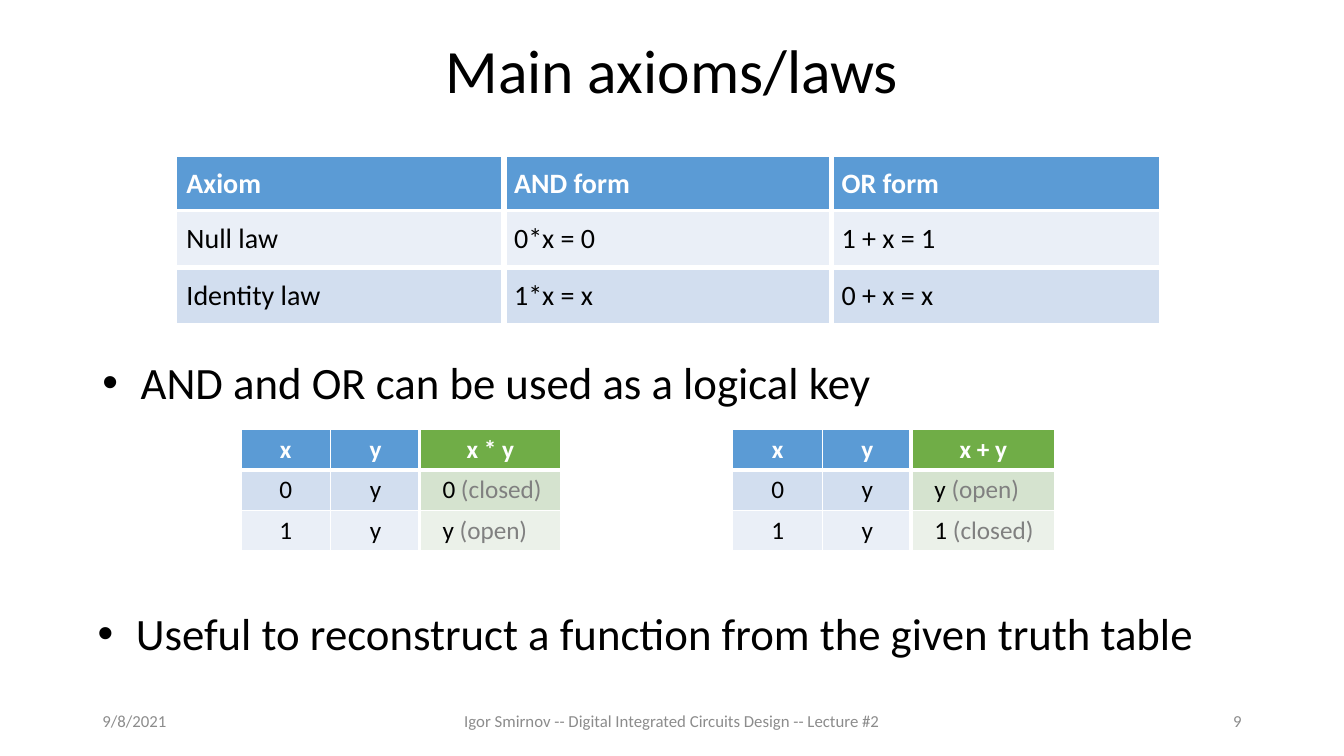
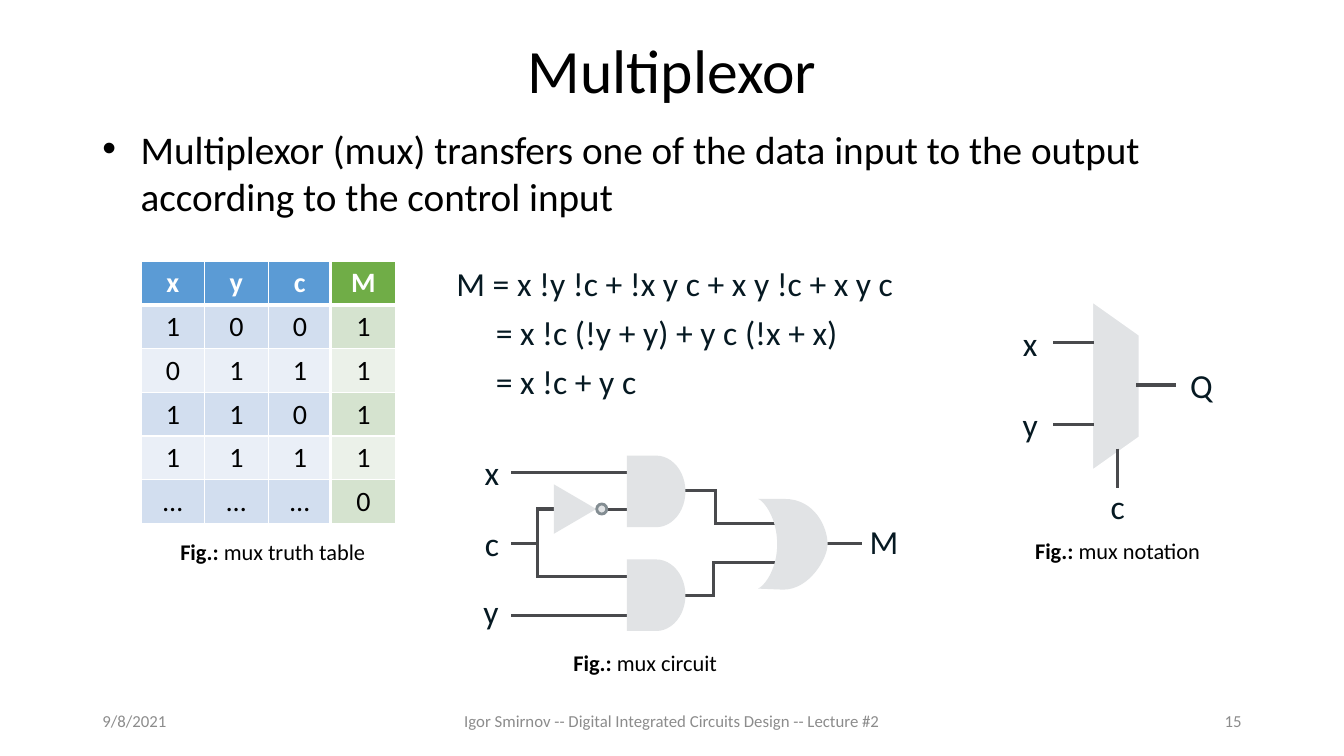
from dataclasses import dataclass
from itertools import pairwise

from lxml import etree
from pptx import Presentation
from pptx import util as u
from pptx.dml.color import RGBColor
from pptx.enum import shapes as sh
from pptx.enum import text as tx
from pptx.oxml import ns

LEFT, MID, RIGHT = tx.PP_ALIGN.LEFT, tx.PP_ALIGN.CENTER, tx.PP_ALIGN.RIGHT
TOP, CORE = tx.MSO_ANCHOR.TOP, tx.MSO_ANCHOR.MIDDLE
KIND = sh.MSO_SHAPE


@dataclass(frozen=True)
class Theme:
    """Colours, type sizes and line widths in points."""
    font: str = "Calibri"
    black: str = "000000"
    white: str = "FFFFFF"
    grey: str = "8C8C8C"
    note: str = "808080"
    ink: str = "061922"
    wire: str = "494A4D"
    gate: str = "E1E3E5"
    ring: str = "838D92"
    blue: tuple = ("5B9BD5", "D2DEEF", "EAEFF7")
    green: tuple = ("70AD47", "D5E3CF", "EBF1E9")
    title: int = 44
    point: int = 32
    body: int = 28
    label: int = 24
    cell: int = 20
    small: int = 18
    fig: int = 16
    foot: int = 12
    thin: float = 1
    head: float = 3
    seam: float = 4.5
    lead: float = 2.25


T = Theme()
WIDE, HIGH = 133.33, 75


def unit(n):
    """Turn grid steps, ten to the inch, into a length."""
    return u.Inches(n / 10)


def span(box):
    """Turn a grid box into lengths."""
    return [unit(n) for n in box]


def shift(box, x, y, w=0, h=0):
    """Give a box placed from the corner of another."""
    return box[0] + x, box[1] + y, w, h


def rgb(hue):
    """Turn a hex string into a colour."""
    return RGBColor.from_string(hue)


def tag(node, name, **keys):
    """Add a drawing element to a node."""
    return etree.SubElement(node, ns.qn("a:" + name), keys)


def write(par, runs, size, hue=T.black, align=LEFT):
    """Fill a paragraph with runs of (text, bold, colour)."""
    par.alignment = align
    for run in runs:
        word, bold, tint = (*run, hue)[:3]
        bit = par.add_run()
        bit.text = word
        bit.font.name, bit.font.size = T.font, u.Pt(size)
        bit.font.bold, bit.font.color.rgb = bold, rgb(tint)


def indent(par, left, first=0):
    """Set the left margin and first line of a paragraph."""
    props = par._p.get_or_add_pPr()
    props.set("marL", str(unit(left)))
    props.set("indent", str(unit(first)))
    return props


def frame(slide, box, anchor=TOP):
    """Add a wrapping text box and return its text frame."""
    area = slide.shapes.add_textbox(*span(box)).text_frame
    area.word_wrap, area.vertical_anchor = True, anchor
    return area


def line(slide, box, word, size, hue=T.black, align=LEFT):
    """Place one centred-height line of text."""
    par = frame(slide, box, CORE).paragraphs[0]
    write(par, [(word, False)], size, hue, align)
    return par


def point(slide, box, word, size):
    """Place a bulleted statement."""
    par = frame(slide, box).paragraphs[0]
    write(par, [(word, False)], size)
    par.space_before = u.Pt(18)
    props = indent(par, 3.8, -3.8)
    tag(props, "buFont", typeface="Arial")
    tag(props, "buChar", char="•")


def label(slide, box, name, x, y):
    """Centre a signal name on a spot of the box."""
    area = frame(slide, shift(box, x - 1.8, y - 2.5, 3.6, 5), CORE)
    area.margin_left = area.margin_right = 0
    write(area.paragraphs[0], [(name, False)], T.label, T.ink, MID)


def caption(slide, x, y, wide, word):
    """Place a figure caption."""
    par = frame(slide, (x, y, wide, 3.7)).paragraphs[0]
    write(par, [("Fig.: ", True), (word, False)], T.fig)


def wire(slide, box, *spots):
    """Join spots of the box with straight lines, square at bends."""
    for (ax, ay), (bx, by) in pairwise(spots):
        ends = [box[0] + ax, box[1] + ay, box[0] + bx, box[1] + by]
        link = slide.shapes.add_connector(sh.MSO_CONNECTOR.STRAIGHT, *span(ends))
        link.line.color.rgb, link.line.width = rgb(T.wire), u.Pt(T.lead)
        link.line._get_or_add_ln().set("cap", "sq" if len(spots) > 2 else "flat")
        tag(link._element.spPr, "effectLst")


def paint(shape, edge=None, turn=0):
    """Give a shape the gate fill, an edge and a turn."""
    shape.shadow.inherit = False
    shape.fill.solid()
    shape.fill.fore_color.rgb = rgb(T.gate)
    shape.rotation = turn
    if edge:
        shape.line.color.rgb, shape.line.width = rgb(edge), u.Pt(2)
    else:
        shape.line.fill.background()


def part(slide, kind, box, edge=None, turn=0):
    """Add a preset circuit part."""
    paint(slide.shapes.add_shape(kind, *span(box)), edge, turn)


def curve(a, b, c, d, steps=16):
    """List the spots of a cubic curve after its start."""
    return [tuple((1 - t) ** 3 * p + 3 * t * (1 - t) ** 2 * q
                  + 3 * t * t * (1 - t) * r + t ** 3 * s
                  for p, q, r, s in zip(a, b, c, d))
            for t in (n / steps for n in range(1, steps + 1))]


def orgate(slide, box):
    """Draw an OR gate, curved at its back and nose."""
    w, h = box[2:]
    half, neck, nose = h / 2, (2.6, 0), (w, h / 2)
    dots = [(0, 0), *curve((0, 0), (.6, .2), (1.9, 1.9), (1.9, half)),
            *curve((1.9, half), (1.9, 6.9), (.7, 8.6), (0, h - .1)), (2.5, h),
            *curve((2.5, h), (5.1, h), (w, 5.9), nose),
            *curve(nose, (w, 2.9), (5.7, 0), neck)]
    dots = [(unit(box[0] + x), unit(box[1] + y)) for x, y in dots]
    path = slide.shapes.build_freeform(*dots[0])
    path.add_line_segments(dots[1:], close=True)
    paint(path.convert_to_shape())


def style(cell, fill, edges):
    """Set the borders and fill of a cell."""
    props = cell._tc.get_or_add_tcPr()
    for side, size in zip("LRTB", edges):
        rule = tag(props, "ln" + side, w=str(u.Pt(size)))
        tag(tag(rule, "solidFill"), "srgbClr", val=T.white)
    cell.fill.solid()
    cell.fill.fore_color.rgb = rgb(fill)


def table(slide, box, row, data, size, tones=T.blue, seams=(), align=MID, start=0):
    """Place a striped table with broad seams left of some columns."""
    count, depth = len(data[0]), len(data)
    part = slide.shapes.add_table(depth, count, *span(box))
    for col in part.table.columns:
        col.width = unit(box[2] / count)
    for strip in part.table.rows:
        strip.height = unit(row)
    part.height = unit(box[3])
    for r, words in enumerate(data):
        n = start + r
        tone = tones[2 - n % 2 if n else 0]
        for c, word in enumerate(words):
            cell = part.table.cell(r, c)
            edges = [T.seam if k in seams else T.thin for k in (c, c + 1)]
            edges += [T.head if n == 1 and r else T.thin, T.thin if n else T.head]
            style(cell, tone, edges)
            cell.vertical_anchor = CORE if align == LEFT else TOP
            par = cell.text_frame.paragraphs[0]
            if isinstance(word, tuple):
                write(par, [(word[0], False), (word[1], False, T.note)], size)
                indent(par, 1.2)
            else:
                write(par, [(word, not n)], size, T.black if n else T.white, align)


def base(deck, title, page):
    """Start a slide with its title and footer."""
    slide = deck.slides.add_slide(deck.slide_layouts[6])
    par = line(slide, (9.17, 0, 115, 14.5), title, T.title, align=MID)
    par.line_spacing = .9
    for x, w, word, align in ((9.17, 30, "9/8/2021", LEFT),
                              (44.17, 45, "Igor Smirnov -- Digital Integrated Circuits Design -- Lecture #2", MID),
                              (94.17, 30, page, RIGHT)):
        line(slide, (x, 69.5, w, 4), word, T.foot, T.grey, align)
    return slide


def truth(slide, box, row, ins, outs, wide, size):
    """Place the inputs in blue and, beside them, the output in green."""
    table(slide, box, row, ins, size, seams=[len(ins[0])])
    x, y, w, h = box
    table(slide, (x + w, y, wide, h), row, [[out] for out in outs], size, T.green)


def key(slide, x, wide, outs):
    """Place the table of a logical key."""
    truth(slide, (x, 42.6, 17.8, 12), 3.4, ["xy", "0y", "1y"], outs, wide, T.small)


def circuit(slide, box):
    """Draw the gates and wires of the mux inside the box."""
    for name, x, y in (("x", 2.8, 2.8), ("c", 2.8, 9.9), ("y", 2.7, 16.6), ("M", 41.7, 9.7)):
        label(slide, box, name, x, y)
    for y in (2.9, 17.1):
        wire(slide, box, (4.7, y), (16.2, y))
    wire(slide, box, (4.7, 9.9), (7.3, 9.9))
    wire(slide, box, (9, 6.5), (7.3, 6.5), (7.3, 13.2), (16.2, 13.2))
    wire(slide, box, (13.1, 6.55), (16.3, 6.55))
    wire(slide, box, (20.8, 4.7), (25, 4.7), (25, 7.9), (31, 7.9))
    wire(slide, box, (20.8, 15.1), (24.8, 15.1), (24.8, 11.8), (30.8, 11.8))
    wire(slide, box, (35.8, 9.9), (39.5, 9.9))
    for y in (1.2, 11.5):
        part(slide, KIND.FLOWCHART_DELAY, shift(box, 16.2, y, 5.8, 7.1))
    part(slide, KIND.ISOSCELES_TRIANGLE, shift(box, 8.6, 4.4, 4.9, 4.2), turn=90)
    part(slide, KIND.OVAL, shift(box, 13.2, 6, 1, 1), T.ring)
    orgate(slide, shift(box, 29.2, 5.5, 6.9, 9))


def symbol(slide, box):
    """Draw the mux notation inside the box."""
    part(slide, KIND.FLOWCHART_MANUAL_OPERATION, shift(box, 2.2, 5.9, 17, 4.8), T.white, 270)
    for name, y in (("x", 4), ("y", 12.1)):
        label(slide, box, name, 2.2, y)
        wire(slide, box, (4.5, y), (8.5, y))
    wire(slide, box, (12.7, 8.2), (16.7, 8.2))
    label(slide, box, "Q", 19.2, 8.2)
    wire(slide, box, (10.9, 14.5), (10.9, 18.4))
    label(slide, box, "c", 10.9, 20.2)


def proof(slide, box):
    """Write the steps that simplify the mux function."""
    area = frame(slide, box)
    steps = ("M = x !y !c + !x y c + x y !c + x y c", "= x !c (!y + y) + y c (!x + x)", "= x !c + y c")
    for n, step in enumerate(steps):
        par = area.add_paragraph() if n else area.paragraphs[0]
        write(par, [(step, False)], T.label, T.ink)
        par.space_before = u.Pt(6)
        indent(par, 3.9 if n else 0)


def laws(deck):
    """Build the slide of axioms."""
    slide = base(deck, "Main axioms/laws", "9")
    for y, start, words in ((15.5, 0, ("Axiom", "AND form", "OR form")),
                            (21, 2, ("Null law", "0*x = 0", "1 + x = 1")),
                            (26.7, 1, ("Identity law", "1*x = x", "0 + x = x"))):
        row = [words]
        table(slide, (17.5, y, 97.5, 5.4), 5.4, row, T.cell, seams=[1, 2], align=LEFT, start=start)
    point(slide, (9.17, 34.7, 115, 7.2), "AND and OR can be used as a logical key", T.point)
    key(slide, 23.9, 13.9, ["x * y", ("0 ", "(closed)"), ("y ", "(open)")])
    key(slide, 72.7, 14.1, ["x + y", ("y ", "(open)"), ("1 ", "(closed)")])
    point(slide, (8.7, 59.6, 115, 7.2), "Useful to reconstruct a function from the given truth table", T.point)


def mux(deck):
    """Build the slide of the multiplexor."""
    slide = base(deck, "Multiplexor", "15")
    point(slide, (9.17, 11.9, 115, 12),
          "Multiplexor (mux) transfers one of the data input to the output according to the control input", T.body)
    truth(slide, (14, 25.9, 18.9, 26), 4.1, ["xyc", "100", "011", "110", "111", "………"], "M11110", 6.3, T.cell)
    proof(slide, (44.3, 25.6, 66.7, 18.8))
    symbol(slide, (100, 30, 22, 23))
    circuit(slide, (46, 44, 44, 19))
    caption(slide, 16.9, 52.9, 20.6, "mux truth table")
    caption(slide, 101.7, 52.8, 18.6, "mux notation")
    caption(slide, 55.9, 63.9, 16.4, "mux circuit")


def main():
    """Build and save the deck."""
    deck = Presentation()
    deck.slide_width, deck.slide_height = unit(WIDE), unit(HIGH)
    laws(deck)
    mux(deck)
    deck.save("out.pptx")


if __name__ == "__main__":
    main()
